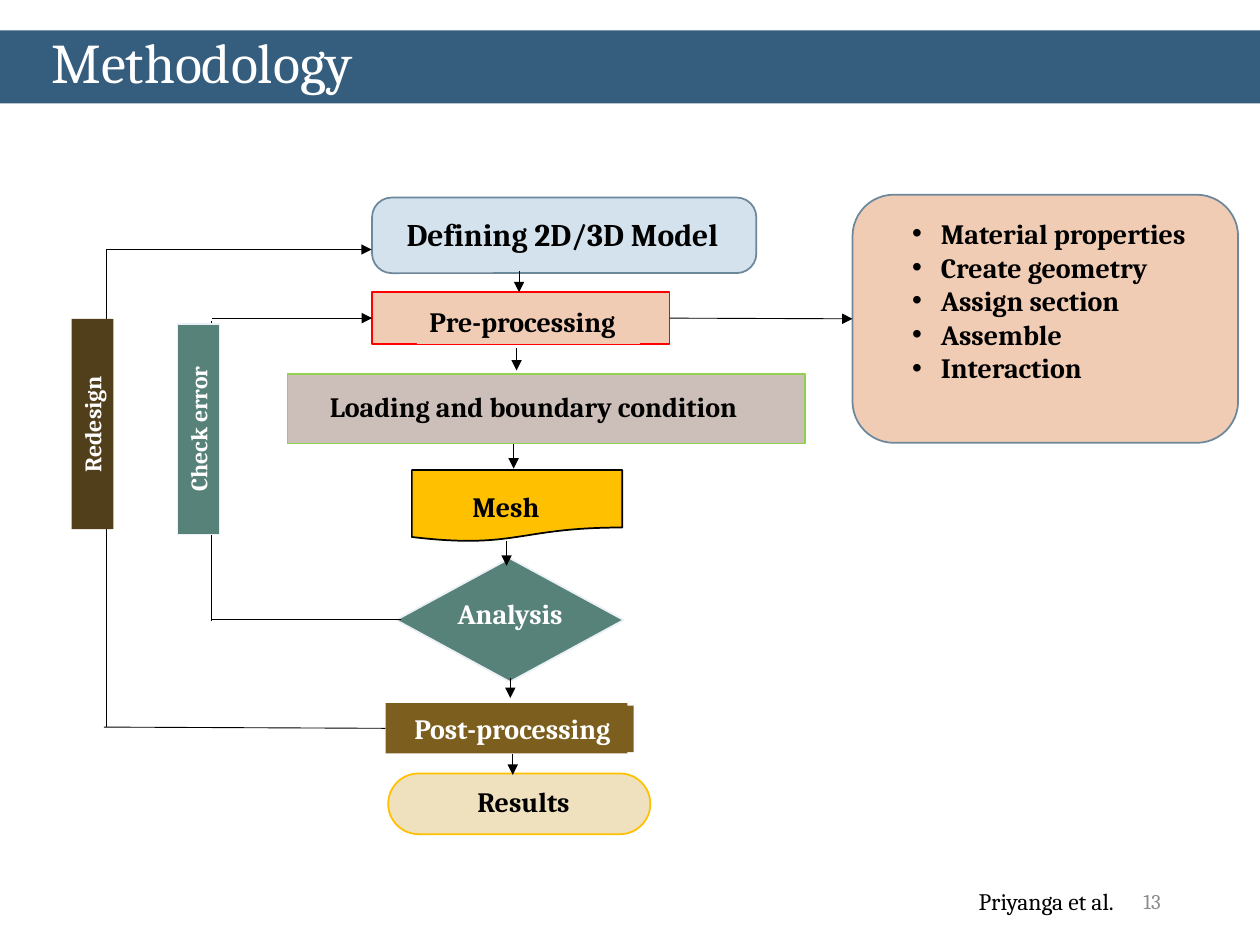
from dataclasses import dataclass
from typing import Optional

import pptx
import pptx.dml.color
import pptx.enum.shapes
import pptx.enum.text
import pptx.oxml.ns
import pptx.util
from lxml import etree

Pt = pptx.util.Pt
Kind = pptx.enum.shapes.MSO_SHAPE
Align = pptx.enum.text.PP_ALIGN
Anchor = pptx.enum.text.MSO_ANCHOR

BLACK, WHITE = "000000", "FFFFFF"
TEAL, BROWN, PEACH, GOLD = "578279", "7C5F1E", "F1CCB5", "FFC000"
SLATE, SAND, SKY, MAUVE = "6D879B", "EFE0BE", "D4E2ED", "CCBEB8"


@dataclass
class Box:
    """A shape, with optional text; lengths in points."""
    x: float
    y: float
    w: float
    h: float
    fill: Optional[str] = None
    text: str = ""
    kind: int = Kind.RECTANGLE
    edge: Optional[str] = None
    width: float = 1
    curve: Optional[float] = None
    size: float = 16
    color: str = BLACK
    bold: bool = True
    align: int = Align.LEFT
    anchor: int = Anchor.TOP
    wrap: bool = False
    inset: float = 7.2
    turn: float = 0
    bullet: bool = False
    name: str = ""


@dataclass
class Line:
    """A straight line; head and tail name a box and its side to join."""
    x1: float
    y1: float
    x2: float
    y2: float
    arrow: bool = True
    start: Optional[tuple[str, int]] = None
    end: Optional[tuple[str, int]] = None


def paint(target, color: str) -> None:
    target.rgb = pptx.dml.color.RGBColor.from_string(color)


def sub(node, tag: str, **attrs: str):
    return etree.SubElement(node, pptx.oxml.ns.qn(tag), attrs)


def write(frame, box: Box) -> None:
    frame.word_wrap = box.wrap
    frame.vertical_anchor = box.anchor
    frame.margin_left = Pt(box.inset)
    for i, words in enumerate(box.text.split("\n")):
        para = frame.paragraphs[0] if i == 0 else frame.add_paragraph()
        para.text = words
        para.alignment = box.align
        font = para.font
        font.name, font.size, font.bold = "Cambria", Pt(box.size), box.bold
        paint(font.color, box.color)
        if box.bullet:
            props = para._p.get_or_add_pPr()
            props.set("marL", str(Pt(16.5)))
            props.set("indent", str(-Pt(16.5)))
            mark = sub(props, "a:buChar", char="•")
            props.insert(0, mark)
            face = sub(props, "a:buFont", typeface="Arial")
            props.insert(0, face)


def draw_box(slide, box: Box):
    place = [Pt(v) for v in (box.x, box.y, box.w, box.h)]
    if box.fill is None and box.kind == Kind.RECTANGLE:
        shape = slide.shapes.add_textbox(*place)
    else:
        shape = slide.shapes.add_shape(box.kind, *place)
        shape.shadow.inherit = False
        if box.fill:
            shape.fill.solid()
            paint(shape.fill.fore_color, box.fill)
        else:
            shape.fill.background()
        if box.edge:
            paint(shape.line.color, box.edge)
            shape.line.width = Pt(box.width)
        else:
            shape.line.fill.background()
    if box.curve is not None:
        shape.adjustments[0] = box.curve
    shape.rotation = box.turn
    if box.text:
        write(shape.text_frame, box)
    return shape


def draw_line(slide, line: Line, named: dict) -> None:
    ends = [Pt(v) for v in (line.x1, line.y1, line.x2, line.y2)]
    link = slide.shapes.add_connector(
        pptx.enum.shapes.MSO_CONNECTOR.STRAIGHT, *ends)
    if line.start:
        link.begin_connect(named[line.start[0]], line.start[1])
    if line.end:
        link.end_connect(named[line.end[0]], line.end[1])
    paint(link.line.color, BLACK)
    link.line.width = Pt(0.5)
    if line.arrow:
        sub(link.line._get_or_add_ln(), "a:tailEnd", type="triangle")
    sub(link._element.spPr, "a:effectLst")


def drop(x: float, top: float, end: float) -> Line:
    """A downward arrow between two steps."""
    return Line(x, top, x, end)


def side(y: float, fill: str, x: float, text: str,
         edge: Optional[str] = None) -> Box:
    """A label on a feedback loop, read from bottom to top."""
    return Box(x, y, 120.2, 23.8, fill, text, edge=edge, width=0.75, size=13.5,
               color=WHITE, align=Align.CENTER, wrap=True, turn=270)


STEPS = "\n".join(["Material properties", "Create geometry",
                   "Assign section", "Assemble", "Interaction"])

PARTS = [
    # Title bar and footer
    Box(0, 17.3, 720, 41.8, "355D7E"),
    Box(508.3, 500.4, 162, 28.8, text="13", size=12, color="8C8C8C",
        bold=False, align=Align.RIGHT, anchor=Anchor.MIDDLE, wrap=True),
    Box(552.2, 503.3, 95.8, 23.8, text="Priyanga et al.", size=13.5,
        bold=False),
    Box(22.3, 12.2, 195.8, 46.1, text="Methodology", size=32, color=WHITE,
        bold=False),
    # Model
    Box(212.6, 112.9, 219.6, 43.2, SKY, kind=Kind.ROUNDED_RECTANGLE,
        edge=SLATE, curve=0.26),
    Box(215.3, 119.5, 210.2, 28.8, SKY, "Defining 2D/3D Model", size=18,
        wrap=True, inset=17),
    # Results
    Box(221.8, 442, 149.8, 34.7, SAND, kind=Kind.ROUNDED_RECTANGLE,
        edge=GOLD, curve=0.5),
    Box(265.7, 445, 68.4, 27.4, SAND, "Results", wrap=True),
    # Analysis
    Box(226.4, 319, 130, 70.6, TEAL, kind=Kind.FLOWCHART_DECISION,
        edge="EAF0F6"),
    drop(289.5, 308.9, 323.3),
    # Post-processing
    Box(220.3, 401.8, 138.2, 28.8, BROWN, name="post"),
    Box(229.7, 403.2, 132.5, 26.6, BROWN, "Post-processing", color=WHITE),
    # Mesh
    Box(235.4, 268.6, 120.2, 41, GOLD, kind=Kind.FLOWCHART_DOCUMENT,
        edge=BLACK),
    Box(262.8, 276.5, 54, 26.6, GOLD, "Mesh"),
    drop(293.5, 252.7, 267.8),
    drop(293, 430.6, 442.8),
    # Pre-processing and its details
    Box(212.6, 167, 170, 29.6, PEACH, edge="FF0000", name="pre"),
    Box(238.3, 170.6, 127.4, 25.9, PEACH, "Pre-processing"),
    Box(487.2, 111.3, 220.3, 141.8, PEACH, kind=Kind.ROUNDED_RECTANGLE,
        edge=SLATE, name="detail"),
    Box(514.1, 120.2, 185, 122.4, PEACH, STEPS, wrap=True, bullet=True),
    drop(296.6, 154.8, 167),
    Line(382.6, 181.8, 487.2, 182.2, start=("pre", 3), end=("detail", 1)),
    # Loading
    Box(164.2, 213.8, 295.9, 39.6, MAUVE, edge="92D050"),
    Box(181.4, 218.9, 254.2, 26.6, MAUVE, "Loading and boundary condition",
        wrap=True),
    drop(295.2, 198.7, 211.7),
    # Loop from analysis to pre-processing
    Line(121, 181.8, 212.6, 181.8, end=("pre", 1)),
    Line(121, 183.6, 121, 355, arrow=False),
    Line(229, 354.2, 120.5, 354.2, arrow=False),
    side(233.3, TEAL, 53.3, "Check error", "EAF0F6"),
    # Loop from post-processing to model
    Line(60.8, 142.6, 212.4, 142.6),
    Line(60.8, 142.6, 60.8, 415.4, arrow=False),
    Line(220.3, 416.2, 59.4, 415.5, arrow=False, start=("post", 1)),
    side(230.4, "513E1B", -7.2, "Redesign"),
    # Analysis label
    drop(291.6, 387.4, 398.9),
    Box(216, 314.6, 151.2, 72, text="Analysis", kind=Kind.OVAL, color=WHITE,
        align=Align.CENTER, anchor=Anchor.MIDDLE, wrap=True),
]


def main() -> None:
    deck = pptx.Presentation()
    deck.slide_width, deck.slide_height = Pt(720), Pt(540)
    slide = deck.slides.add_slide(deck.slide_layouts[6])
    named = {}
    for part in PARTS:
        if isinstance(part, Line):
            draw_line(slide, part, named)
        else:
            shape = draw_box(slide, part)
            if part.name:
                named[part.name] = shape
    deck.save("out.pptx")


if __name__ == "__main__":
    main()
